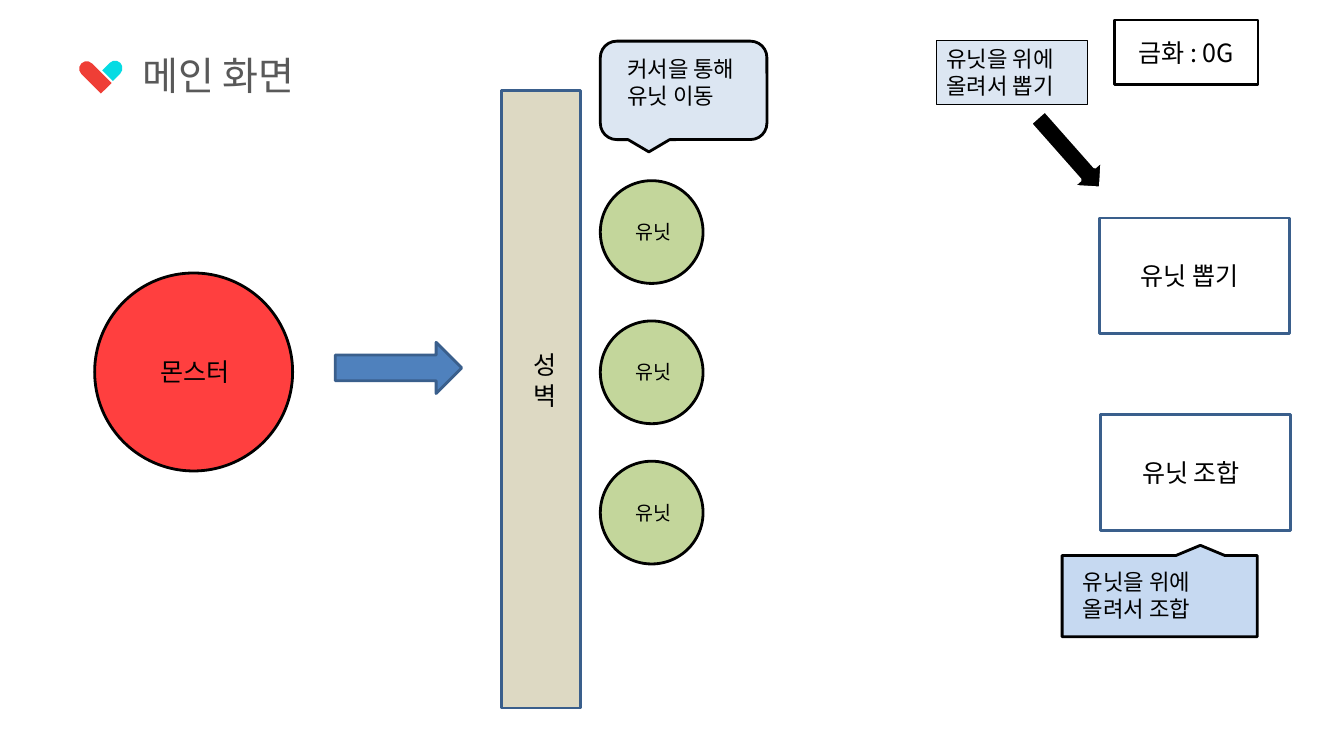
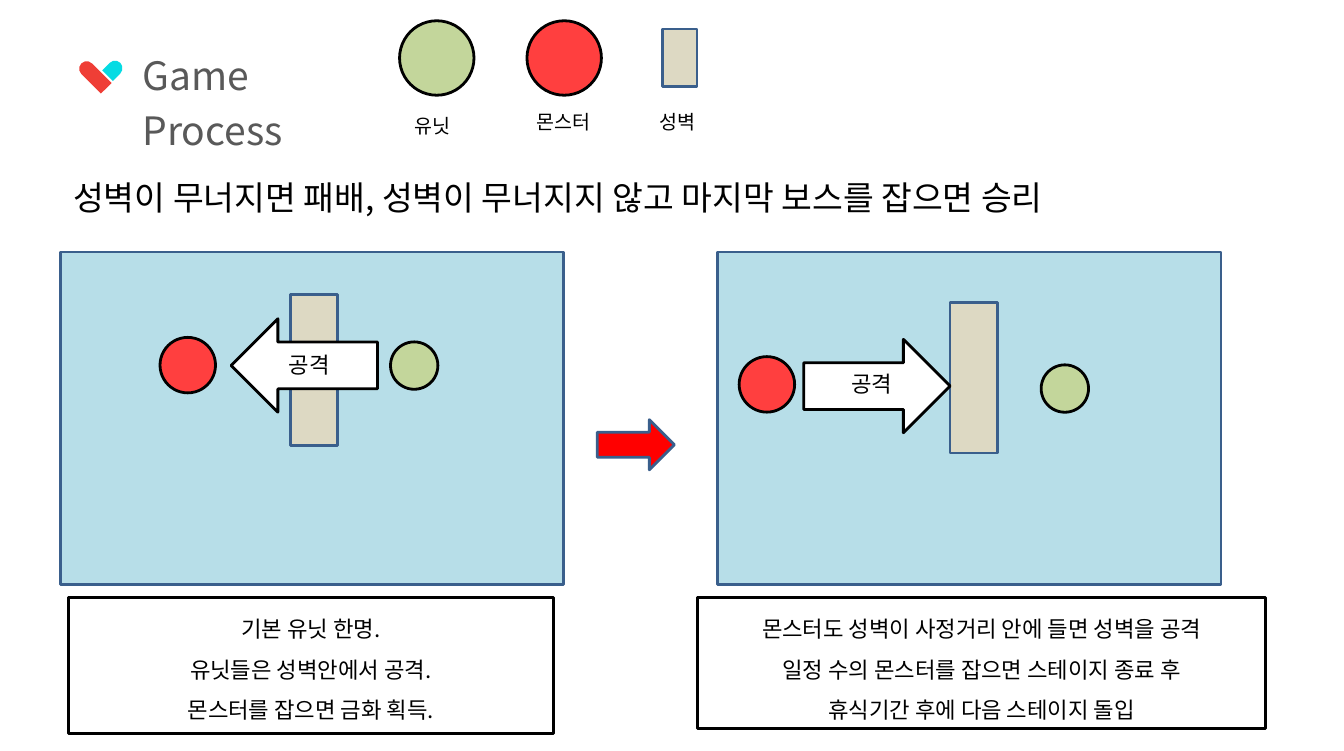
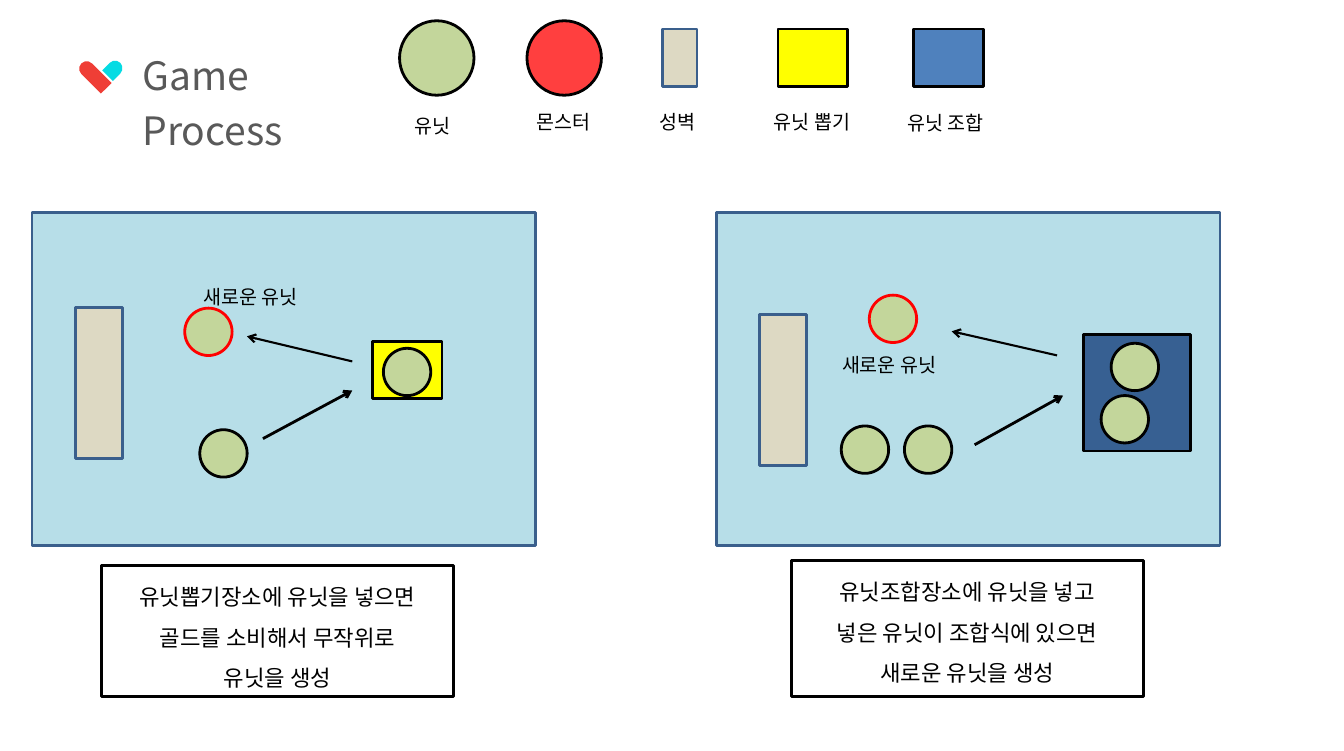
"""Build three slides that explain the rules of a wall defence game."""
from dataclasses import dataclass

from lxml import etree
from pptx import Presentation
from pptx.dml import color
from pptx.enum import shapes, text
from pptx.oxml import ns
from pptx.util import Pt

PRESET = shapes.MSO_SHAPE
ALIGN = text.PP_ALIGN
ANCHOR = text.MSO_ANCHOR


@dataclass(frozen=True)
class Theme:
    font: str = "Noto Sans CJK KR"
    black: str = "000000"
    white: str = "FFFFFF"
    title_gray: str = "595959"
    heart_red: str = "EF3E36"
    heart_cyan: str = "05DBE3"
    outline: str = "3A5F8C"
    wall: str = "DDD9C3"
    monster: str = "FF3F3F"
    unit: str = "C3D69B"
    field: str = "B7DEE8"
    blue: str = "4F81BD"
    dark_blue: str = "376092"
    note: str = "DCE6F2"
    merge_note: str = "C6D9F1"
    yellow: str = "FFFF00"
    red: str = "FF0000"
    title_size: float = 28
    rule_size: float = 24
    label_size: float = 18
    note_size: float = 16
    small_size: float = 14
    line_height: float = 1.21
    caption_height: float = 1.8


THEME = Theme()

STYLES = {
    "heart_left": (PRESET.ROUND_2_SAME_RECTANGLE, THEME.heart_red, None, 0),
    "heart_right": (PRESET.ROUND_2_SAME_RECTANGLE, THEME.heart_cyan, None, 0),
    "unit": (PRESET.OVAL, THEME.unit, THEME.black, 2),
    "new_unit": (PRESET.OVAL, THEME.unit, THEME.red, 2),
    "monster": (PRESET.OVAL, THEME.monster, THEME.black, 2),
    "wall": (PRESET.RECTANGLE, THEME.wall, THEME.outline, 2),
    "field": (PRESET.RECTANGLE, THEME.field, THEME.outline, 2),
    "button": (PRESET.RECTANGLE, THEME.white, THEME.outline, 2),
    "gold": (PRESET.RECTANGLE, THEME.white, THEME.black, 2),
    "caption": (PRESET.RECTANGLE, None, THEME.black, 2.25),
    "draw_place": (PRESET.RECTANGLE, THEME.yellow, THEME.black, 2),
    "merge_place": (PRESET.RECTANGLE, THEME.blue, THEME.black, 2),
    "merge_room": (PRESET.RECTANGLE, THEME.dark_blue, THEME.black, 2),
    "draw_note": (PRESET.RECTANGLE, THEME.note, THEME.black, 0.75),
    "move_note": (PRESET.ROUNDED_RECTANGULAR_CALLOUT, THEME.note, THEME.black, 2),
    "merge_note": (PRESET.RECTANGULAR_CALLOUT, THEME.merge_note, THEME.black, 2),
    "march": (PRESET.RIGHT_ARROW, THEME.blue, THEME.outline, 2),
    "next": (PRESET.RIGHT_ARROW, THEME.red, THEME.outline, 2),
    "attack": (PRESET.RIGHT_ARROW, THEME.white, THEME.black, 2),
    "pointer": (PRESET.DOWN_ARROW, THEME.black, THEME.white, 2),
}

UNIT_SIZE = (34, 34)
WALL_SIZE = (34, 108.2)
FIELD_SIZE = (361, 238.5)
ATTACK_SIZE = (105, 67)
MONSTER_SIZE = (39.8, 39.8)
PLACE_SIZE = (50, 41)

LEGEND = [
    ("wall", (475.2, 20.9, 24.8, 41), "성벽", (465.8, 75.6, 42.5)),
    ("monster", (378, 14.9, 53.4, 53.4), "몬스터", (378, 75.6, 66.2)),
    ("unit", (286.6, 14.9, 53.4, 53.4), "유닛", (290.2, 77.8, 45.4)),
    ("draw_place", (558, 20.9, *PLACE_SIZE), "유닛 뽑기", (547.9, 74.9, 72)),
    ("merge_place", (655.2, 20.9, *PLACE_SIZE), "유닛 조합", (643.7, 76.3, 73)),
]


def rgb(value):
    """Turn a hex string into a colour."""
    return color.RGBColor.from_string(value)


def apply_format(target, formats):
    """Set every named attribute on the target."""
    for name, value in formats.items():
        setattr(target, name, value)


def write(shape, content, size, ink=THEME.black, height=THEME.line_height,
          paragraph_format=None, frame_format=None):
    """Write one paragraph per line of content into a shape."""
    frame = shape.text_frame
    apply_format(frame, {"word_wrap": True, "vertical_anchor": ANCHOR.TOP,
                         **(frame_format or {})})
    for index, line in enumerate(content.split("\n")):
        paragraph = frame.add_paragraph() if index else frame.paragraphs[0]
        apply_format(paragraph, {"alignment": ALIGN.LEFT,
                                 "line_spacing": Pt(size * height),
                                 **(paragraph_format or {})})
        run = paragraph.add_run()
        run.text = line
        apply_format(run.font, {"name": THEME.font, "size": Pt(size)})
        run.font.color.rgb = rgb(ink)
        properties = run._r.get_or_add_rPr()
        etree.SubElement(properties, ns.qn("a:ea"), typeface=THEME.font)


def add_label(slide, content, left, top, width, height, size, **options):
    """Add a text box."""
    box = slide.shapes.add_textbox(Pt(left), Pt(top), Pt(width), Pt(height))
    write(box, content, size, **options)


def add_piece(slide, style, left, top, width, height, rotation=0):
    """Add a preset shape in a named style."""
    preset, fill, line, weight = STYLES[style]
    shape = slide.shapes.add_shape(preset, Pt(left), Pt(top), Pt(width), Pt(height))
    shape.shadow.inherit = False
    shape.rotation = rotation
    for paint, value in ((shape.fill, fill), (shape.line.fill, line)):
        if value:
            paint.solid()
            paint.fore_color.rgb = rgb(value)
        else:
            paint.background()
    if line:
        shape.line.width = Pt(weight)
    return shape


def add_pieces(slide, style, size, *corners):
    """Add equal pieces at several top left corners."""
    for left, top in corners:
        add_piece(slide, style, left, top, *size)


def add_caption(slide, content, left, top, width, height):
    """Add an outlined box of centred lines."""
    shape = add_piece(slide, "caption", left, top, width, height)
    write(shape, content, THEME.note_size, height=THEME.caption_height,
          paragraph_format={"alignment": ALIGN.CENTER})


def add_arrow(slide, start, end, weight):
    """Add a straight line with an open arrowhead at its end."""
    arrow = slide.shapes.add_connector(
        shapes.MSO_CONNECTOR.STRAIGHT, *(Pt(value) for value in start + end))
    arrow.line.color.rgb = rgb(THEME.black)
    arrow.line.width = Pt(weight)
    etree.SubElement(arrow.line._get_or_add_ln(), ns.qn("a:tailEnd"), type="arrow")
    etree.SubElement(arrow.element.spPr, ns.qn("a:effectLst"))


def add_titled_slide(presentation, title):
    """Add a blank slide with the heart mark and its title."""
    slide = presentation.slides.add_slide(presentation.slide_layouts[6])
    hearts = (("heart_left", (61.9, 41.8, 10.8, 25.2), 315),
              ("heart_right", (76.3, 43.2, 10.8, 13), 45))
    for style, box, rotation in hearts:
        shape = add_piece(slide, style, *box, rotation)
        shape.adjustments[0] = 0.5
    margins = {f"margin_{side}": 0 for side in ("left", "right", "top", "bottom")}
    add_label(slide, title, 102.2, 36.7, 147.6, 34 + 41 * title.count("\n"),
              THEME.title_size, ink=THEME.title_gray, frame_format=margins,
              paragraph_format={"space_before": Pt(THEME.title_size * 0.2)})
    return slide


def add_legend(slide, entries):
    """Add the key of game pieces along the top."""
    for style, box, name, (left, top, width) in entries:
        add_piece(slide, style, *box)
        add_label(slide, name, left, top, width, 24.5, THEME.small_size)


def add_attack(slide, left, top, rotation, label_left, label_top):
    """Add a block arrow labelled as an attack."""
    add_piece(slide, "attack", left, top, *ATTACK_SIZE, rotation)
    add_label(slide, "공격", label_left, label_top, 61.9, 26.6, THEME.note_size)


def build_main_screen(presentation):
    """Build the slide that lays out the main screen."""
    slide = add_titled_slide(presentation, "메인 화면")
    add_piece(slide, "wall", 359.6, 64.8, 56.9, 443)
    add_label(slide, "성벽", 375.8, 247, 22.3, 51, THEME.label_size)
    add_piece(slide, "monster", 67.9, 195.8, 142, 142)
    add_label(slide, "몬스터", 108, 252, 79.2, 28.8, THEME.label_size)
    for row in range(3):
        top = 129.6 + row * 100.6
        add_piece(slide, "unit", 430.6, top, 73.7, 73.7)
        add_label(slide, "유닛", 448.6, top + 24.6, 45.4, 24.5, THEME.small_size)
    for name, left, top in (("유닛 뽑기", 788.4, 156.4), ("유닛 조합", 789.5, 297.4)):
        add_piece(slide, "button", left, top, 136.3, 82.8)
        add_label(slide, name, left + 22.6, top + 27, 90.7, 28.8, THEME.label_size)
    add_piece(slide, "march", 240.5, 245.5, 90.7, 36.7)
    gold = add_piece(slide, "gold", 799.4, 14.4, 103, 46.1)
    write(gold, "금화 : 0G", THEME.label_size,
          paragraph_format={"alignment": ALIGN.CENTER},
          frame_format={"vertical_anchor": ANCHOR.MIDDLE})
    add_piece(slide, "merge_note", 761.8, 398.4, 140, 58.3, 180)
    add_label(slide, "유닛을 위에\n올려서 조합", 769.7, 403.9, 130.3, 46.1, THEME.note_size)
    add_piece(slide, "pointer", 753.1, 75.6, 27.4, 67.7, 318.5)
    draw_note = add_piece(slide, "draw_note", 671.8, 28.8, 108, 46.1)
    write(draw_note, "유닛을 위에\n올려서 뽑기", THEME.note_size)
    add_piece(slide, "move_note", 430.6, 29.5, 119.5, 70.6)
    add_label(slide, "커서을 통해\n유닛 이동", 442.8, 36, 95.8, 46.1, THEME.note_size)


def build_battle(presentation):
    """Build the slide on attack, victory and defeat."""
    slide = add_titled_slide(presentation, "Game\nProcess")
    add_legend(slide, LEGEND[:3])
    add_pieces(slide, "field", FIELD_SIZE, (43.2, 180.7), (514.8, 180.7))
    add_pieces(slide, "unit", UNIT_SIZE, (280.1, 245.2), (746.8, 261.7))
    add_pieces(slide, "monster", MONSTER_SIZE, (114.8, 242), (530.2, 255.8))
    add_pieces(slide, "wall", WALL_SIZE, (208.1, 211.2), (681.4, 216.7))
    add_attack(slide, 165.8, 228.6, 180, 200.2, 248.4)
    add_attack(slide, 576.5, 243.4, 0, 603.4, 262.1)
    add_caption(slide, "기본 유닛 한명.\n유닛들은 성벽안에서 공격.\n몬스터를 잡으면 금화 획득.",
                49, 428.4, 347.8, 98)
    add_caption(slide, "몬스터도 성벽이 사정거리 안에 들면 성벽을 공격\n"
                "일정 수의 몬스터를 잡으면 스테이지 종료 후\n휴식기간 후에 다음 스테이지 돌입",
                500.4, 428.4, 407.5, 94.3)
    add_piece(slide, "next", 428.4, 301, 55.4, 36)
    add_label(slide, "성벽이 무너지면 패배, 성벽이 무너지지 않고 마지막 보스를 잡으면 승리",
              45.4, 123.1, 875.5, 36, THEME.rule_size)


def build_new_units(presentation):
    """Build the slide on drawing and merging units."""
    slide = add_titled_slide(presentation, "Game\nProcess")
    add_legend(slide, LEGEND)
    add_pieces(slide, "field", FIELD_SIZE, (23, 152.6), (514.1, 152.6))
    add_pieces(slide, "wall", WALL_SIZE, (54, 220.5), (544.5, 225.5))
    add_piece(slide, "draw_place", 267.1, 245, *PLACE_SIZE)
    add_piece(slide, "merge_room", 777, 240, 77, 83.5)
    add_pieces(slide, "unit", UNIT_SIZE, (143.3, 308.2), (275, 249.8), (648.7, 305.5),
               (603.4, 305.5), (797, 246.2), (789.8, 283.7))
    add_pieces(slide, "new_unit", UNIT_SIZE, (132.5, 221), (623.5, 211.7))
    for left, top in ((139, 200.9), (596.9, 249.8)):
        add_label(slide, "새로운 유닛", left, top, 91.4, 24.5, THEME.small_size)
    add_arrow(slide, (188.6, 314.6), (252.7, 280.1), 2)
    add_arrow(slide, (252.7, 259.2), (177.1, 241.2), 1.5)
    add_arrow(slide, (699.1, 319), (762.5, 283.7), 2)
    add_arrow(slide, (758.2, 254.9), (682.6, 237.6), 1.5)
    add_caption(slide, "유닛뽑기장소에 유닛을 넣으면\n골드를 소비해서 무작위로\n유닛을 생성",
                72.7, 405.4, 252.7, 94.3)
    add_caption(slide, "유닛조합장소에 유닛을 넣고\n넣은 유닛이 조합식에 있으면\n새로운 유닛을 생성",
                567.4, 401.8, 252.7, 98)


def main():
    """Build and save the presentation."""
    presentation = Presentation()
    apply_format(presentation, {"slide_width": Pt(964), "slide_height": Pt(538.6)})
    for build in (build_main_screen, build_battle, build_new_units):
        build(presentation)
    presentation.save("out.pptx")


if __name__ == "__main__":
    main()
